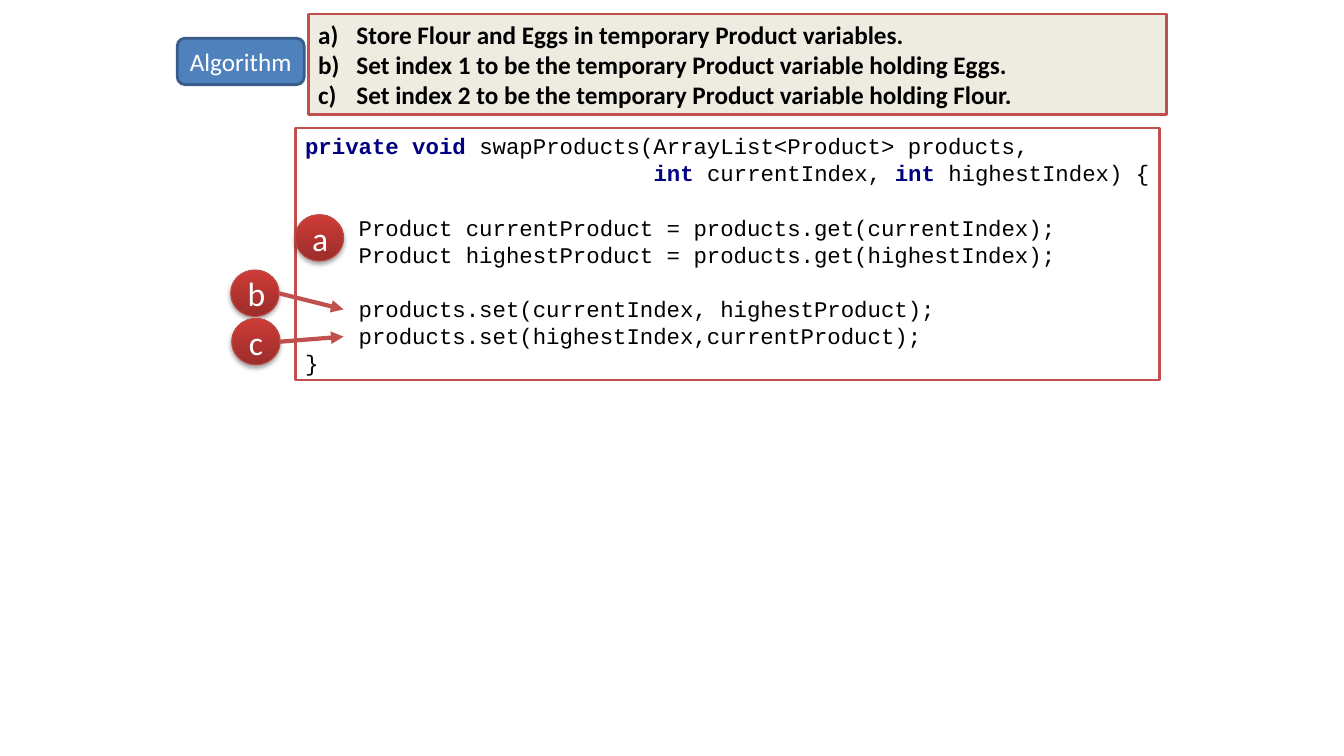
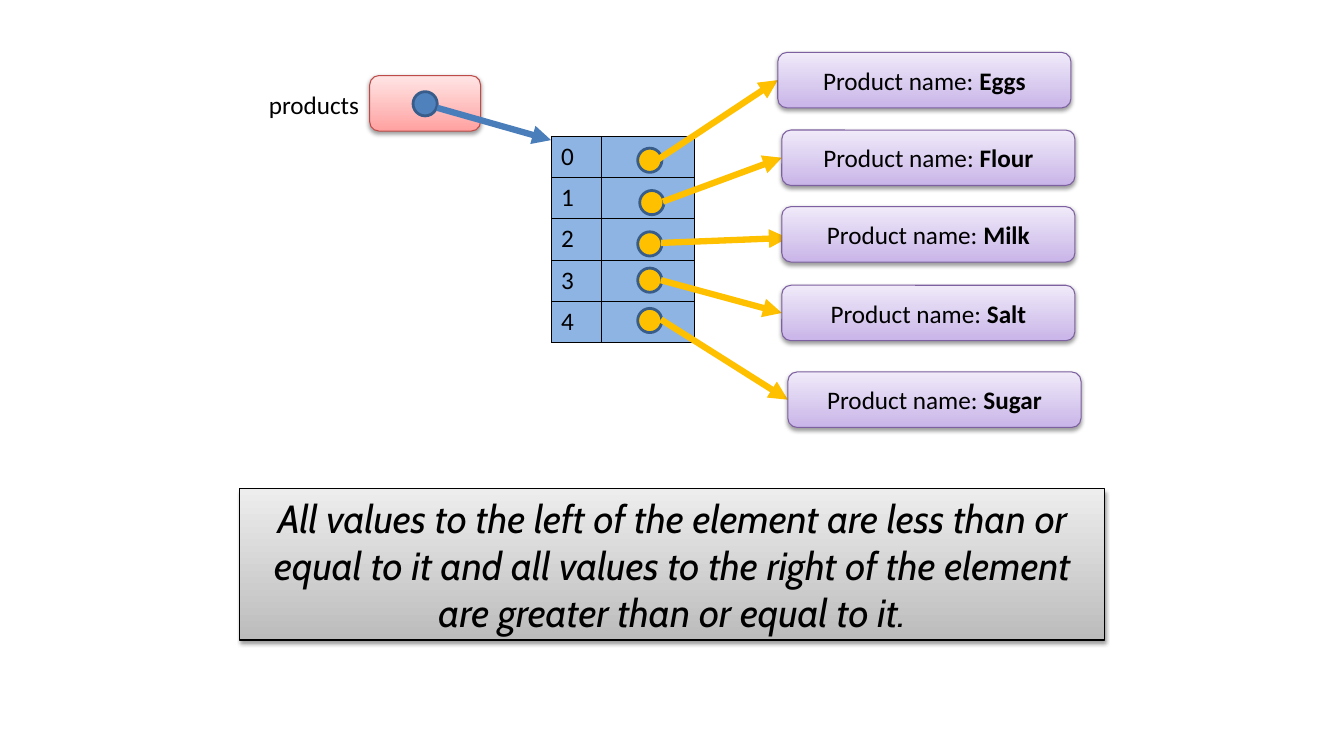
from lxml.etree import SubElement
from pptx import Presentation
from pptx.dml.color import RGBColor
from pptx.enum.dml import MSO_FILL
from pptx.enum.shapes import MSO_CONNECTOR, MSO_SHAPE
from pptx.enum.text import MSO_ANCHOR, PP_ALIGN
from pptx.oxml import parse_xml
from pptx.oxml.ns import nsdecls, qn
from pptx.util import Inches, Pt

COLOURS = {
    "black": "000000", "white": "FFFFFF", "keyword": "000080",
    "red": "C0504D", "red edge": "BE4B48", "cream": "EEECE1",
    "blue": "4F81BD", "blue edge": "385D8A", "blue arrow": "4A7EBB",
    "cell": "8EB4E3", "gold": "FFC000", "purple edge": "7D60A0",
    "badge low": "9B2D2A", "badge high": "CE3B37",
    "pink low": "FFA2A1", "pink high": "FFE5E5",
    "purple low": "C9B5E8", "purple high": "F0EAF9",
    "grey low": "BCBCBC", "grey high": "EDEDED",
}
RGB = {name: RGBColor.from_string(code) for name, code in COLOURS.items()}

# The grid has square cells: positions count columns across and rows down.
CELL = Inches(1)
SOFT_SHADOW = (1.6, 38)
STRONG_SHADOW = (1.8, 35)
CODE_PITCH = Pt(19.3)


def add_panel(page, preset, at, fill=None, edge=None, weight=0.75, shadow=None,
              lines=(), font="Calibri", size=18, colour="black",
              emphasis="black", align=PP_ALIGN.CENTER, anchor=MSO_ANCHOR.MIDDLE):
    """Draw a shape; a pair of fills runs bottom to top, *stars* mark bold text."""
    panel = page.shapes.add_shape(preset, *(int(CELL * length) for length in at))
    panel.shadow.inherit = False
    if isinstance(fill, tuple):
        panel.fill.gradient()
        panel.fill.gradient_angle = 90
        for stop, name in zip(panel.fill.gradient_stops, fill):
            stop.color.rgb = RGB[name]
    else:
        panel.fill.solid()
        panel.fill.fore_color.rgb = RGB[fill]
    panel.line.color.rgb = RGB[edge]
    panel.line.width = Pt(weight)
    if shadow:
        distance, opacity = shadow
        effects = panel._element.spPr.find(qn("a:effectLst"))
        effects.append(parse_xml(
            f'<a:outerShdw {nsdecls("a")} blurRad="40000" dist="{Pt(distance)}" '
            f'dir="5400000" rotWithShape="0"><a:srgbClr val="{COLOURS["black"]}">'
            f'<a:alpha val="{opacity * 1000}"/></a:srgbClr></a:outerShdw>'))

    frame = panel.text_frame
    frame.word_wrap = True
    frame.vertical_anchor = anchor
    for number, line in enumerate(lines):
        para = frame.add_paragraph() if number else frame.paragraphs[0]
        para.alignment = align
        para.font.name = font
        para.font.size = Pt(size)
        para.font.color.rgb = RGB[colour]
        for part, words in enumerate(line.split("*")):
            if words:
                span = para.add_run()
                span.text = words
                if part % 2:
                    span.font.bold = True
                    span.font.color.rgb = RGB[emphasis]
    return panel


def add_arrow(page, start, end, colour, weight):
    ends = [int(CELL * length) for length in (*start, *end)]
    arrow = page.shapes.add_connector(MSO_CONNECTOR.STRAIGHT, *ends)
    arrow.line.color.rgb = RGB[colour]
    arrow.line.width = Pt(weight)
    outline = arrow.line._get_or_add_ln()
    SubElement(outline, qn("a:tailEnd"), type="triangle")
    SubElement(arrow._element.spPr, qn("a:effectLst"))
    return arrow


deck = Presentation()
deck.slide_width = int(CELL * 13.34)
deck.slide_height = int(CELL * 7.5)
blank = deck.slide_layouts[6]

# Slide 1: the swap algorithm and its code
page = deck.slides.add_slide(blank)

code_lines = [
    "*private void *swapProducts(ArrayList<Product> products,",
    "                          *int *currentIndex, *int *highestIndex) {",
    "    Product currentProduct = products.get(currentIndex);",
    "    Product highestProduct = products.get(highestIndex);",
    "    products.set(currentIndex, highestProduct);",
    "    products.set(highestIndex,currentProduct);",
    "}",
]
code = add_panel(page, MSO_SHAPE.RECTANGLE, (2.93, 1.27, 8.58, 2.5), "white", "red", 2,
                 lines=code_lines, font="Courier New", size=16, emphasis="keyword",
                 align=PP_ALIGN.LEFT)
code.text_frame.word_wrap = False
for number, para in enumerate(code.text_frame.paragraphs):
    para.line_spacing = CODE_PITCH
    if number in (2, 4):
        para.space_before = CODE_PITCH

steps = add_panel(page, MSO_SHAPE.RECTANGLE, (3.06, 0.14, 8.52, 1), "cream", "red", 2,
                  align=PP_ALIGN.LEFT, anchor=MSO_ANCHOR.TOP)
step_texts = [
    "Store Flour and Eggs in temporary Product variables.",
    "Set index 1 to be the temporary Product variable holding Eggs.",
    "Set index 2 to be the temporary Product variable holding Flour.",
]
for number, text in enumerate(step_texts):
    para = steps.text_frame.add_paragraph() if number else steps.text_frame.paragraphs[0]
    para.text = text
    para.alignment = PP_ALIGN.LEFT
    settings = para._p.get_or_add_pPr()
    settings.set("marL", str(Inches(0.38)))
    settings.set("indent", str(-Inches(0.38)))
    SubElement(settings, qn("a:buAutoNum"), type="alphaLcParenR")
    para.font.name = "Calibri"
    para.font.size = Pt(18)
    para.font.bold = True
    para.font.color.rgb = RGB["black"]

for letter, left, top in (("a", 2.93, 2.13), ("b", 2.29, 2.68), ("c", 2.3, 3.16)):
    add_panel(page, MSO_SHAPE.OVAL, (left, top, 0.48, 0.46), ("badge low", "badge high"),
              "red edge", shadow=STRONG_SHADOW, lines=[letter], size=24, colour="white")
add_arrow(page, (2.77, 2.91), (3.41, 3.07), "red", 3)
add_arrow(page, (2.78, 3.39), (3.41, 3.34), "red", 3)
add_panel(page, MSO_SHAPE.ROUNDED_RECTANGLE, (1.76, 0.38, 1.26, 0.46), "blue", "blue edge",
          2, lines=["Algorithm"], colour="white")

# Slide 2: the list of products in memory
page = deck.slides.add_slide(blank)
add_panel(page, MSO_SHAPE.ROUNDED_RECTANGLE, (3.67, 0.75, 1.1, 0.55),
          ("pink low", "pink high"), "red edge", shadow=SOFT_SHADOW)

products = [
    # name, dot left and top, arrow start, box left and top
    ("Eggs", (6.33, 1.47), (6.52, 1.59), (7.72, 0.52)),
    ("Flour", (6.35, 1.89), (6.58, 2), (7.76, 1.29)),
    ("Milk", (6.33, 2.3), (6.56, 2.41), (7.76, 2.05)),
    ("Salt", (6.33, 2.66), (6.56, 2.78), (7.76, 2.83)),
    ("Sugar", (6.33, 3.06), (6.56, 3.17), (7.82, 3.69)),
]
column_widths = (0.5, 0.92)
row_height = 0.41
table = page.shapes.add_table(
    len(products), 2, int(CELL * 5.47), int(CELL * 1.35), int(CELL * sum(column_widths)),
    int(CELL * row_height * len(products))).table
table.first_row = False
table.horz_banding = False
for column, width in zip(table.columns, column_widths):
    column.width = int(CELL * width)
for index, row in enumerate(table.rows):
    for cell in row.cells:
        cell.fill.solid()
        cell.fill.fore_color.rgb = RGB["cell"]
        borders = cell._tc.get_or_add_tcPr()
        for place, side in enumerate(("lnL", "lnR", "lnT", "lnB")):
            borders.insert(place, parse_xml(
                f'<a:{side} {nsdecls("a")} w="{Pt(0.45)}"><a:solidFill>'
                f'<a:srgbClr val="{COLOURS["black"]}"/></a:solidFill></a:{side}>'))
    para = row.cells[0].text_frame.paragraphs[0]
    para.text = str(index)
    para.font.name = "Calibri"
    para.font.size = Pt(18)
    para.font.color.rgb = RGB["black"]

add_panel(page, MSO_SHAPE.OVAL, (4.1, 0.91, 0.24, 0.24), "blue", "blue edge", 2)
label = page.shapes.add_textbox(*(int(CELL * length) for length in (2.57, 0.84, 1.27, 0.4)))
label.text_frame.word_wrap = True
para = label.text_frame.paragraphs[0]
para.text = "products"
para.font.name = "Calibri"
para.font.size = Pt(18)
para.font.color.rgb = RGB["black"]
add_arrow(page, (4.34, 1.07), (5.47, 1.39), "blue arrow", 4.5)

for name, dot, start, corner in products:
    add_panel(page, MSO_SHAPE.OVAL, (*dot, 0.24, 0.24), "gold", "blue edge", 2)
    arrow = add_arrow(page, start, (7.82, 2.36), "gold", 4.5)
    box = add_panel(page, MSO_SHAPE.ROUNDED_RECTANGLE, (*corner, 2.91, 0.55),
                    ("purple low", "purple high"), "purple edge", shadow=SOFT_SHADOW,
                    lines=[f"Product name: *{name}*"])
    if name != "Milk":  # this arrow runs on under its box
        arrow.end_connect(box, 1)

rule = ("All values to the left of the element are less than or equal to it and all "
        "values to the right of the element are greater than or equal to it.")
quote = add_panel(page, MSO_SHAPE.RECTANGLE, (2.38, 4.85, 8.58, 1.5), ("grey low", "grey high"),
                  "black", shadow=SOFT_SHADOW, lines=[rule], font="Cabin", size=28,
                  anchor=MSO_ANCHOR.TOP)
quote.text_frame.paragraphs[0].font.italic = True

deck.save("out.pptx")
